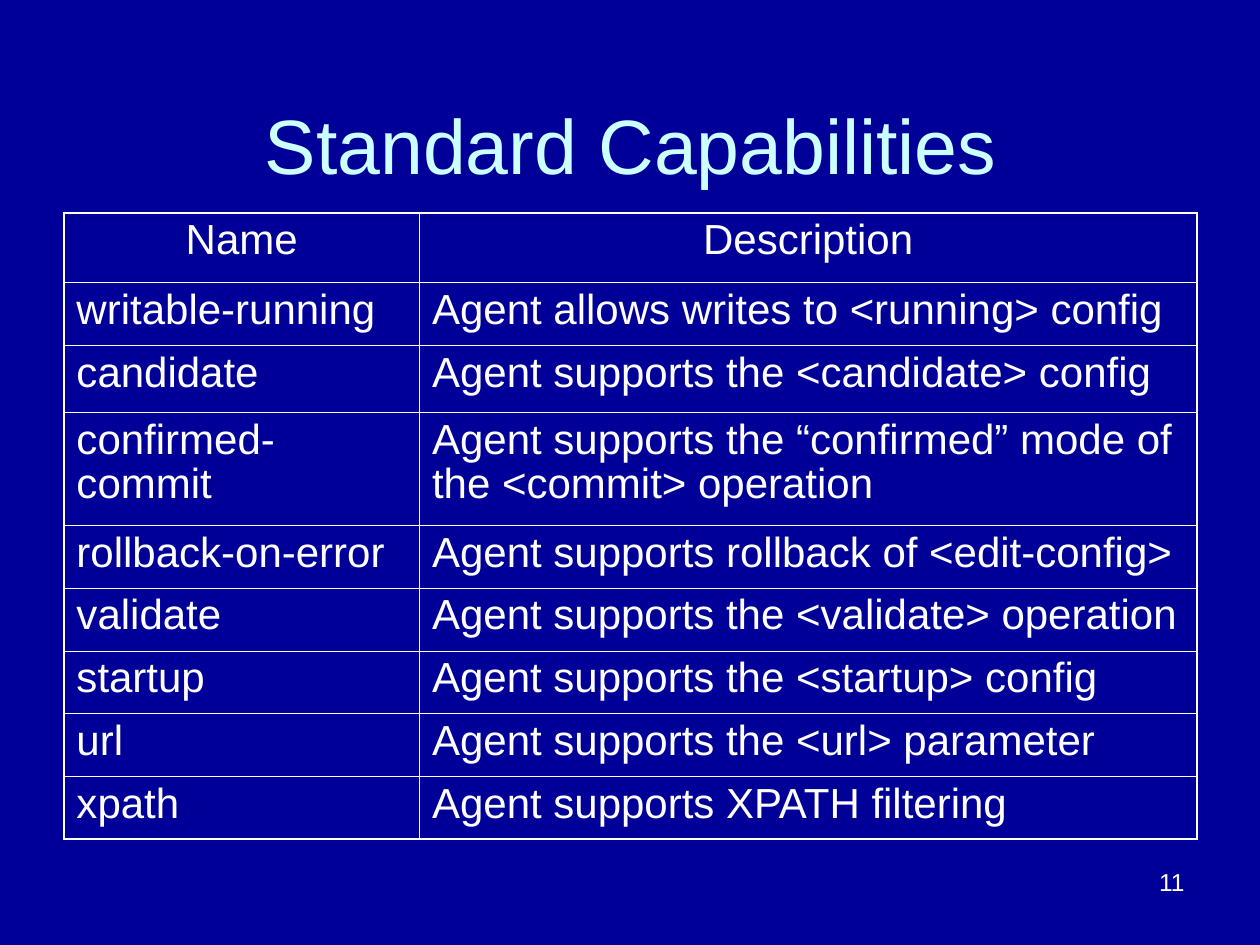
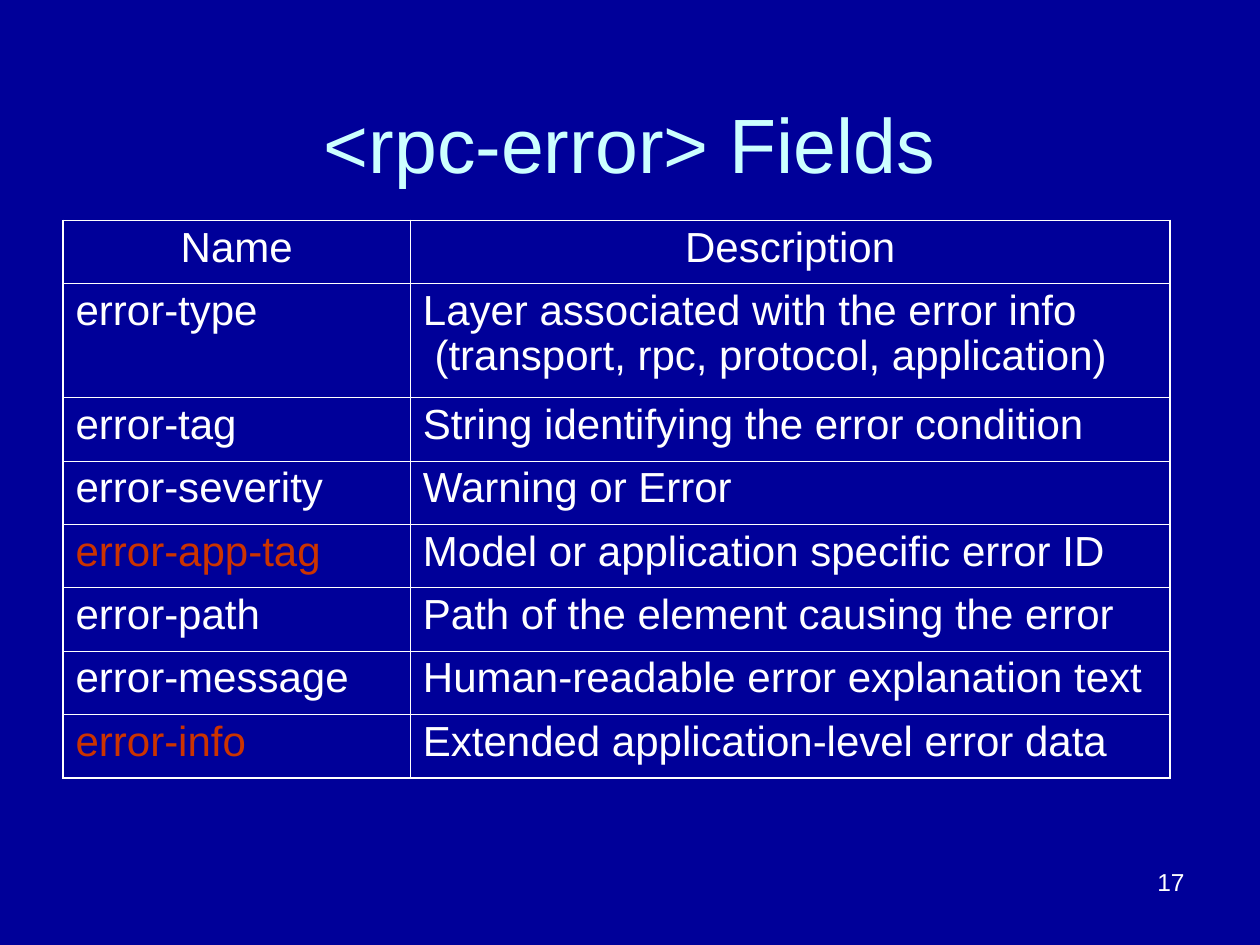
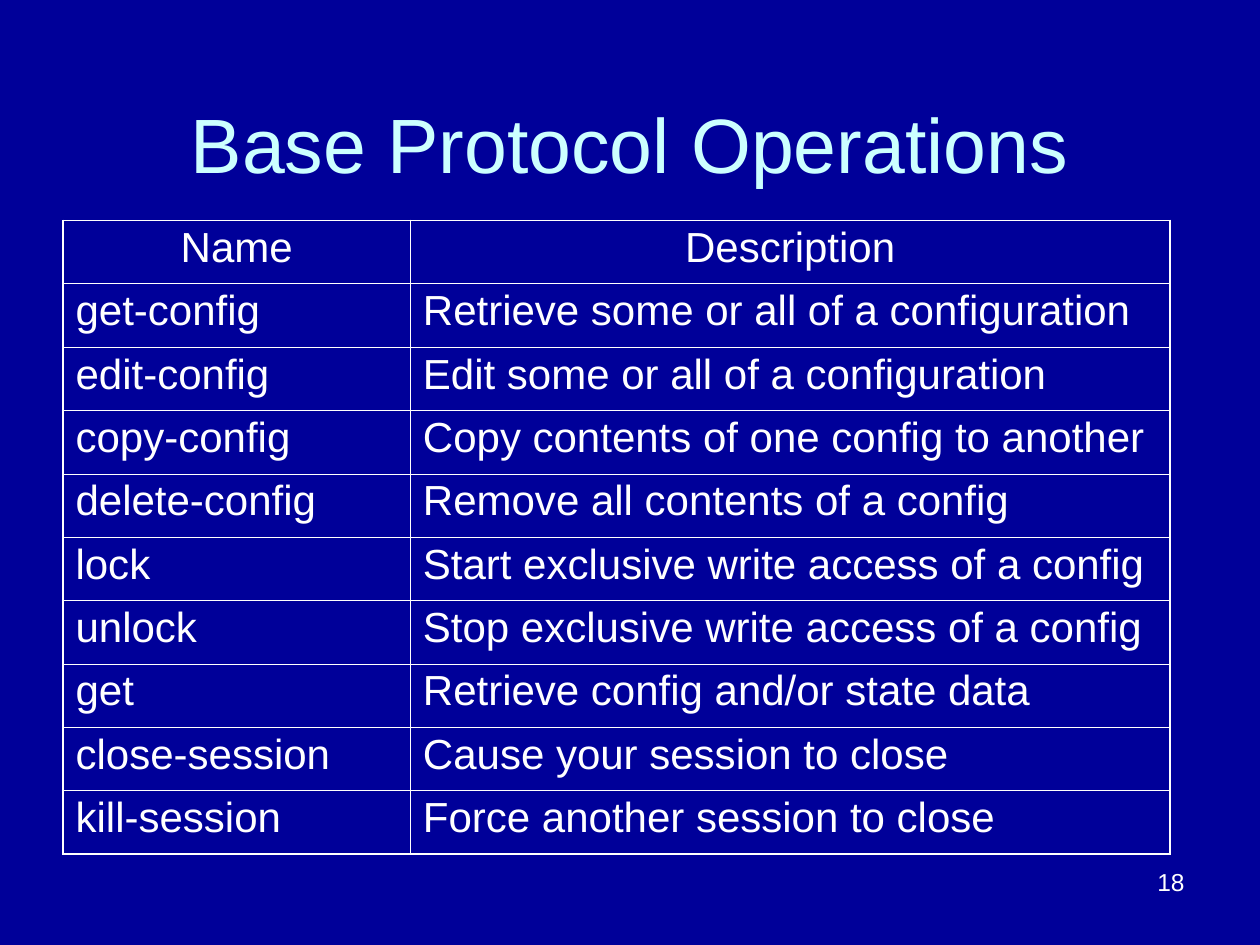
import pptx
import pptx.dml.color
import pptx.enum.text
import pptx.oxml.ns
import pptx.util
from lxml import etree

Pt = pptx.util.Pt
ALIGN = pptx.enum.text.PP_ALIGN
ANCHOR = pptx.enum.text.MSO_ANCHOR

COLORS = {"background": "000099", "title": "CCFFFF", "text": "FFFFFF",
          "highlight": "CC3300", "border": "FFFFFF"}
FONT = "Arial"
OUTER, INNER = 1.08, 0.45
HEADER = ("Name", "Description")
HIGHLIGHTED = {"error-app-tag", "error-info"}

SLIDES = [
    {
        "title": "Standard Capabilities", "number": "11",
        "title_at": (36.7, 22.3), "table_at": (36.5, 121.7),
        "columns": (203.2, 444.2), "row_height": 35.9,
        "special_heights": {0: 39.8, 2: 38.3, 3: 64.5},
        "rows": [
            ("writable-running", "Agent allows writes to <running> config"),
            ("candidate", "Agent supports the <candidate> config"),
            ("confirmed-commit", "Agent supports the “confirmed” mode of the <commit> operation"),
            ("rollback-on-error", "Agent supports rollback of <edit-config>"),
            ("validate", "Agent supports the <validate> operation"),
            ("startup", "Agent supports the <startup> config"),
            ("url", "Agent supports the <url> parameter"),
            ("xpath", "Agent supports XPATH filtering"),
        ],
    },
    {
        "title": "<rpc-error> Fields", "number": "17",
        "title_at": (36, 21.6), "table_at": (36, 126),
        "columns": (198.5, 434), "row_height": 36.2,
        "special_heights": {1: 65},
        "rows": [
            ("error-type", "Layer associated with the error info\v (transport, rpc, protocol, application)"),
            ("error-tag", "String identifying the error condition"),
            ("error-severity", "Warning or Error"),
            ("error-app-tag", "Model or application specific error ID"),
            ("error-path", "Path of the element causing the error"),
            ("error-message", "Human-readable error explanation text"),
            ("error-info", "Extended application-level error data"),
        ],
    },
    {
        "title": "Base Protocol Operations", "number": "18",
        "title_at": (36, 21.6), "table_at": (36, 126),
        "columns": (198.5, 434), "row_height": 36.2,
        "special_heights": {},
        "rows": [
            ("get-config", "Retrieve some or all of a configuration"),
            ("edit-config", "Edit some or all of a configuration"),
            ("copy-config", "Copy contents of one config to another"),
            ("delete-config", "Remove all contents of a config"),
            ("lock", "Start exclusive write access of a config"),
            ("unlock", "Stop exclusive write access of a config"),
            ("get", "Retrieve config and/or state data"),
            ("close-session", "Cause your session to close"),
            ("kill-session", "Force another session to close"),
        ],
    },
]


def rgb(name):
    return pptx.dml.color.RGBColor.from_string(COLORS[name])


def write(tf, text, size, color, align):
    tf.text = text
    p = tf.paragraphs[0]
    p.alignment = align
    for r in p.runs:
        r.font.name = FONT
        r.font.size = Pt(size)
        r.font.color.rgb = rgb(color)
    return p


def add_text(slide, box, text, size, color, align, anchor):
    tf = slide.shapes.add_textbox(*map(Pt, box)).text_frame
    tf.word_wrap = True
    tf.vertical_anchor = anchor
    write(tf, text, size, color, align)


def add_border(cell, side, width):
    qn = pptx.oxml.ns.qn
    ln = etree.SubElement(cell._tc.get_or_add_tcPr(), qn("a:ln" + side), w=str(Pt(width)))
    fill = etree.SubElement(ln, qn("a:solidFill"))
    etree.SubElement(fill, qn("a:srgbClr"), val=COLORS["border"])


def add_grid(slide, data):
    rows = [HEADER] + data["rows"]
    columns = data["columns"]
    heights = [data["special_heights"].get(i, data["row_height"]) for i in range(len(rows))]
    box = (*data["table_at"], sum(columns), sum(heights))
    table = slide.shapes.add_table(len(rows), len(columns), *map(Pt, box)).table
    table.first_row = table.horz_banding = False
    for column, width in zip(table.columns, columns):
        column.width = Pt(width)
    for i, values in enumerate(rows):
        table.rows[i].height = Pt(heights[i])
        for j, text in enumerate(values):
            cell = table.cell(i, j)
            color = "highlight" if text in HIGHLIGHTED else "text"
            p = write(cell.text_frame, text, 24, color, ALIGN.LEFT if i else ALIGN.CENTER)
            p.space_before = Pt(6)
            p.line_spacing = 0.95
            edges = {"L": j == 0, "R": j == len(columns) - 1,
                     "T": i == 0, "B": i == len(rows) - 1}
            for side, outside in edges.items():
                add_border(cell, side, OUTER if outside else INNER)
            cell.fill.background()


def main():
    prs = pptx.Presentation()
    prs.slide_width, prs.slide_height = Pt(720), Pt(540)
    for data in SLIDES:
        slide = prs.slides.add_slide(prs.slide_layouts[6])
        slide.background.fill.solid()
        slide.background.fill.fore_color.rgb = rgb("background")
        add_text(slide, (*data["title_at"], 648, 90), data["title"], 44, "title",
                 ALIGN.CENTER, ANCHOR.BOTTOM)
        add_grid(slide, data)
        add_text(slide, (516, 492, 168, 37.5), data["number"], 14, "text",
                 ALIGN.RIGHT, ANCHOR.TOP)
    prs.save("out.pptx")


if __name__ == "__main__":
    main()
